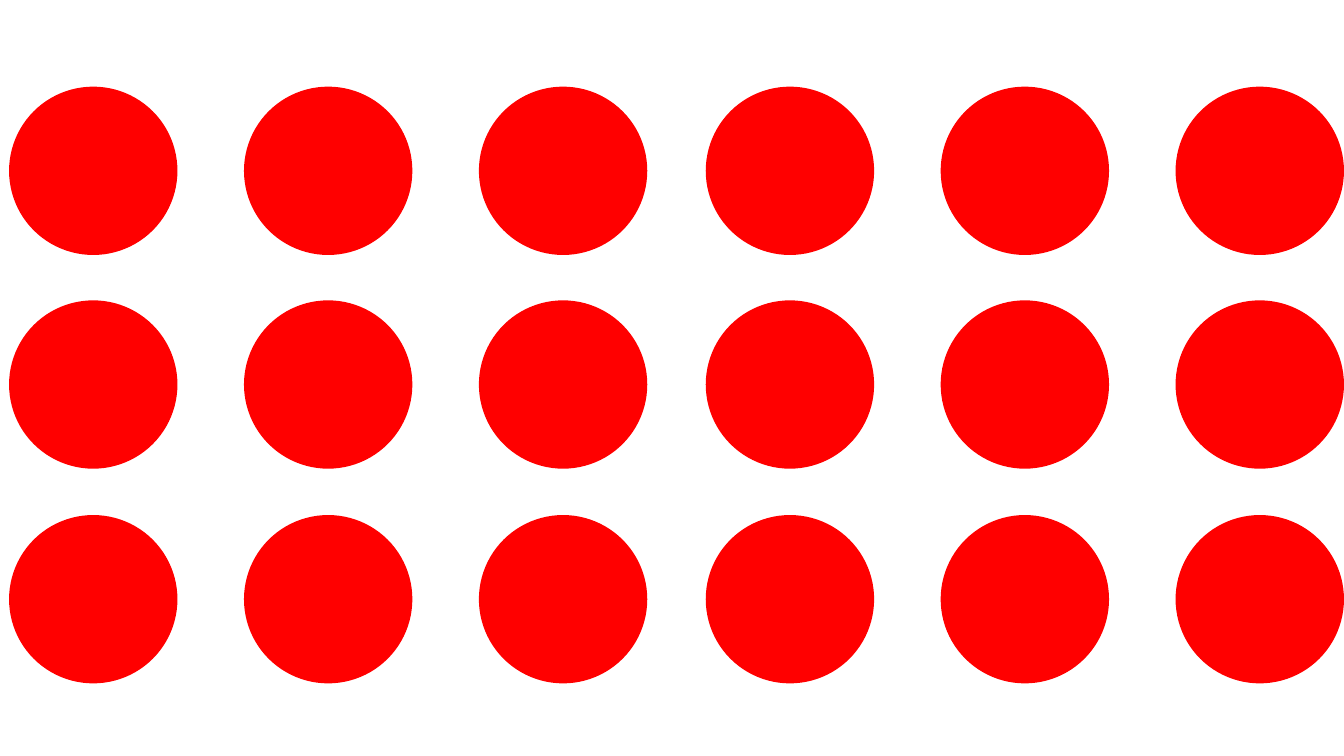
import dataclasses
import itertools

import pptx
import pptx.dml.color
import pptx.enum.shapes
import pptx.shapes.shapetree
import pptx.util

Inches = pptx.util.Inches
COLORS = {"paper": "FFFFFF", "dot": "FF0000"}
SIZE = 1.67
STEP = 2.33
DOTS = 3
TOPS = (0.86, 2.98, 5.11)
LEFTS = (0.09, 7)


@dataclasses.dataclass(frozen=True)
class Trio:
    """A row of three equally spaced dots."""
    left: float
    top: float


def color(name: str) -> pptx.dml.color.RGBColor:
    return pptx.dml.color.RGBColor.from_string(COLORS[name])


def draw(shapes: pptx.shapes.shapetree.SlideShapes, trio: Trio) -> None:
    group = shapes.add_group_shape()
    for col in range(DOTS):
        dot = group.shapes.add_shape(
            pptx.enum.shapes.MSO_SHAPE.OVAL,
            Inches(trio.left + col * STEP), Inches(trio.top),
            Inches(SIZE), Inches(SIZE))
        dot.shadow.inherit = False
        dot.fill.solid()
        dot.fill.fore_color.rgb = color("dot")
        dot.line.fill.background()


def main() -> None:
    deck = pptx.Presentation()
    deck.slide_width = Inches(13.33)
    deck.slide_height = Inches(7.5)
    slide = deck.slides.add_slide(deck.slide_layouts[6])
    slide.background.fill.solid()
    slide.background.fill.fore_color.rgb = color("paper")
    for left, top in itertools.product(LEFTS, TOPS):
        draw(slide.shapes, Trio(left, top))
    deck.save("out.pptx")


if __name__ == "__main__":
    main()
